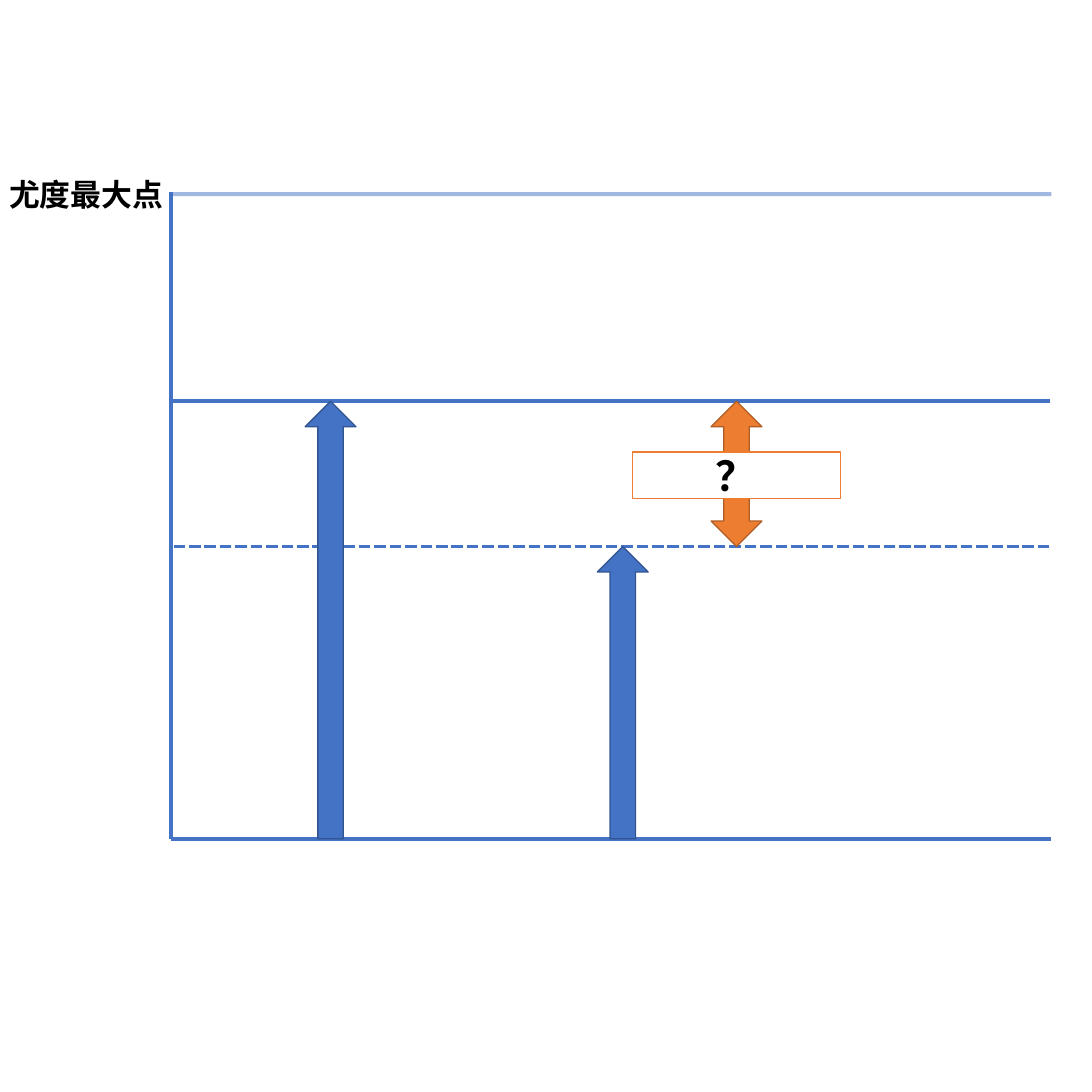
from pptx import Presentation
from pptx.dml.color import RGBColor
from pptx.enum.dml import MSO_LINE
from pptx.enum.shapes import MSO_CONNECTOR, MSO_SHAPE
from pptx.enum.text import MSO_ANCHOR, MSO_AUTO_SIZE, PP_ALIGN
from pptx.oxml.ns import qn
from pptx.util import Inches, Pt
from lxml import etree

STRAIGHT = MSO_CONNECTOR.STRAIGHT
DASH = MSO_LINE.SQUARE_DOT
DOWN = MSO_SHAPE.DOWN_ARROW
BOTH = MSO_SHAPE.UP_DOWN_ARROW
RECT = MSO_SHAPE.RECTANGLE
MIDDLE = MSO_ANCHOR.MIDDLE
CENTER = PP_ALIGN.CENTER
GROW = MSO_AUTO_SIZE.SHAPE_TO_FIT_TEXT

BLUE, NAVY = "4472C4", "325491"
ORANGE, BROWN = "ED7D31", "AF5C24"
WHITE, BLACK = "FFFFFF", "000000"


def color(value):
    return RGBColor.from_string(value)


class Chart:
    font = "Calibri"
    thick = Pt(3)
    thin = Pt(1)

    def __init__(self, slide):
        self.shapes = slide.shapes

    def line(self, x1, y1, x2, y2, dash=None, alpha=None):
        line = self.shapes.add_connector(
            STRAIGHT, Inches(x1), Inches(y1), Inches(x2), Inches(y2))
        line.line.color.rgb = color(BLUE)
        line.line.width = self.thick
        if dash:
            line.line.dash_style = dash
        props = line._element.spPr
        if alpha:
            fill = props.find(".//" + qn("a:srgbClr"))
            etree.SubElement(fill, qn("a:alpha"), val=str(alpha * 1000))
        etree.SubElement(props, qn("a:effectLst"))

    def shape(self, kind, x, y, w, h, fill, edge, turn=0):
        shape = self.shapes.add_shape(
            kind, Inches(x), Inches(y), Inches(w), Inches(h))
        shape.shadow.inherit = False
        shape.fill.solid()
        shape.fill.fore_color.rgb = color(fill)
        shape.line.color.rgb = color(edge)
        shape.line.width = self.thin
        shape.rotation = turn
        return shape

    def text(self, shape, words, size, align=None):
        para = shape.text_frame.paragraphs[0]
        para.alignment = align
        run = para.add_run()
        run.text = words
        run.font.name = self.font
        run.font.size = Pt(size)
        run.font.bold = True
        run.font.color.rgb = color(BLACK)

    def label(self, x, y, w, h, words, size):
        box = self.shapes.add_textbox(
            Inches(x), Inches(y), Inches(w), Inches(h))
        box.text_frame.word_wrap = True
        box.text_frame.auto_size = GROW
        self.text(box, words, size)

    def badge(self, x, y, w, h, words, size):
        box = self.shape(RECT, x, y, w, h, WHITE, ORANGE)
        box.text_frame.vertical_anchor = MIDDLE
        self.text(box, words, size, CENTER)


def main():
    deck = Presentation()
    deck.slide_width = deck.slide_height = Inches(11.81)
    chart = Chart(deck.slides.add_slide(deck.slide_layouts[6]))

    left, right, base = 1.85, 11.37, 9.07
    peak, full, null = 2.1, 4.34, 5.91
    wide = 0.55

    chart.line(left, 2.08, left, base)
    chart.line(right, base, left, base)
    chart.line(right, peak, left, peak, alpha=49)
    chart.line(right - 0.01, full, left - 0.01, full)
    chart.line(right - 0.02, null, left - 0.02, null, dash=DASH)
    chart.label(0, 1.85, 2.03, 0.5, "尤度最大点", 24)

    for x, top in ((3.3, full), (6.46, null)):
        chart.shape(DOWN, x, top, wide, base - top, BLUE, NAVY, 180)
    chart.shape(BOTH, 7.69, full, wide, null - full, ORANGE, BROWN)
    chart.badge(6.84, 4.89, 2.25, 0.5, "？", 32)

    deck.save("out.pptx")


if __name__ == "__main__":
    main()
